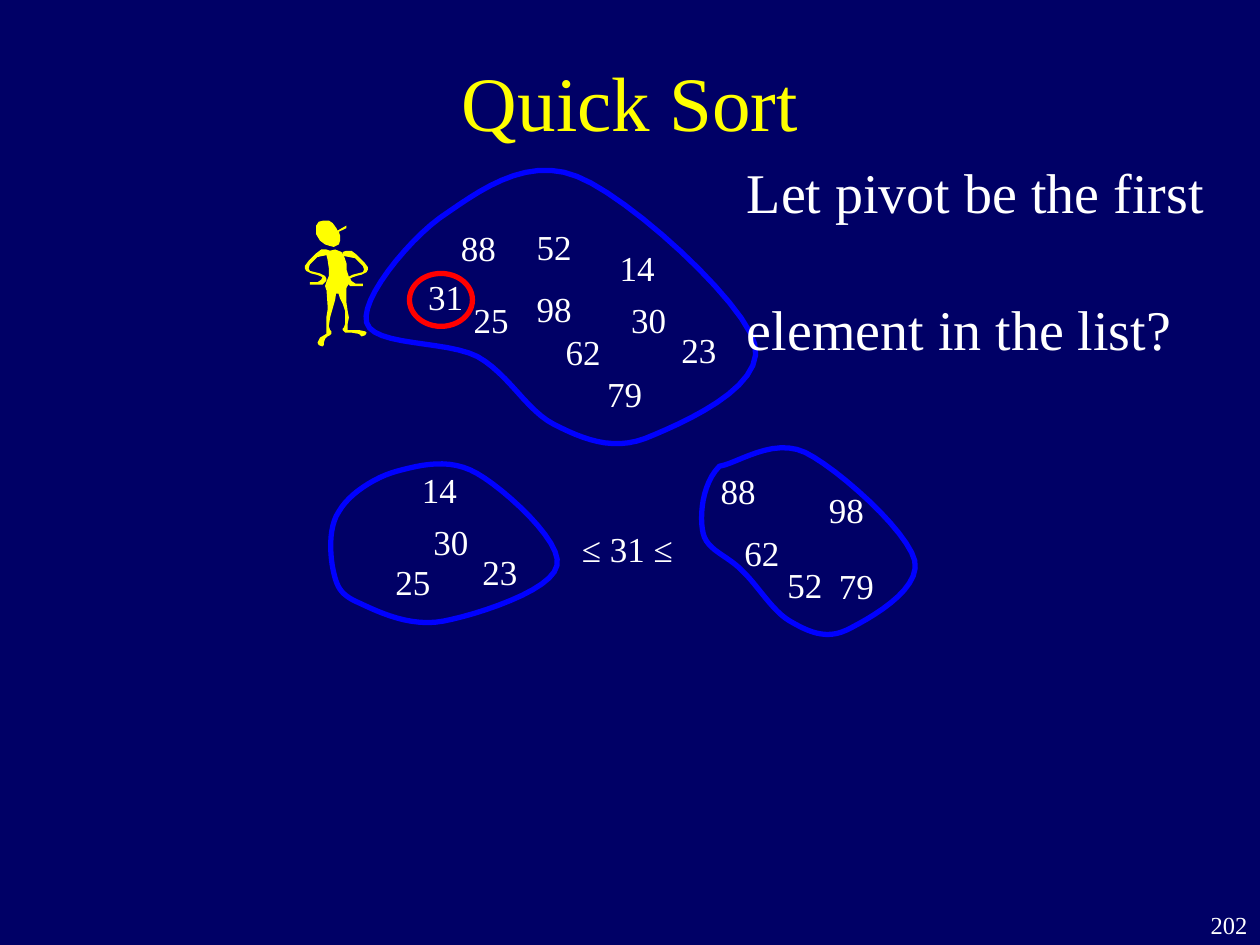
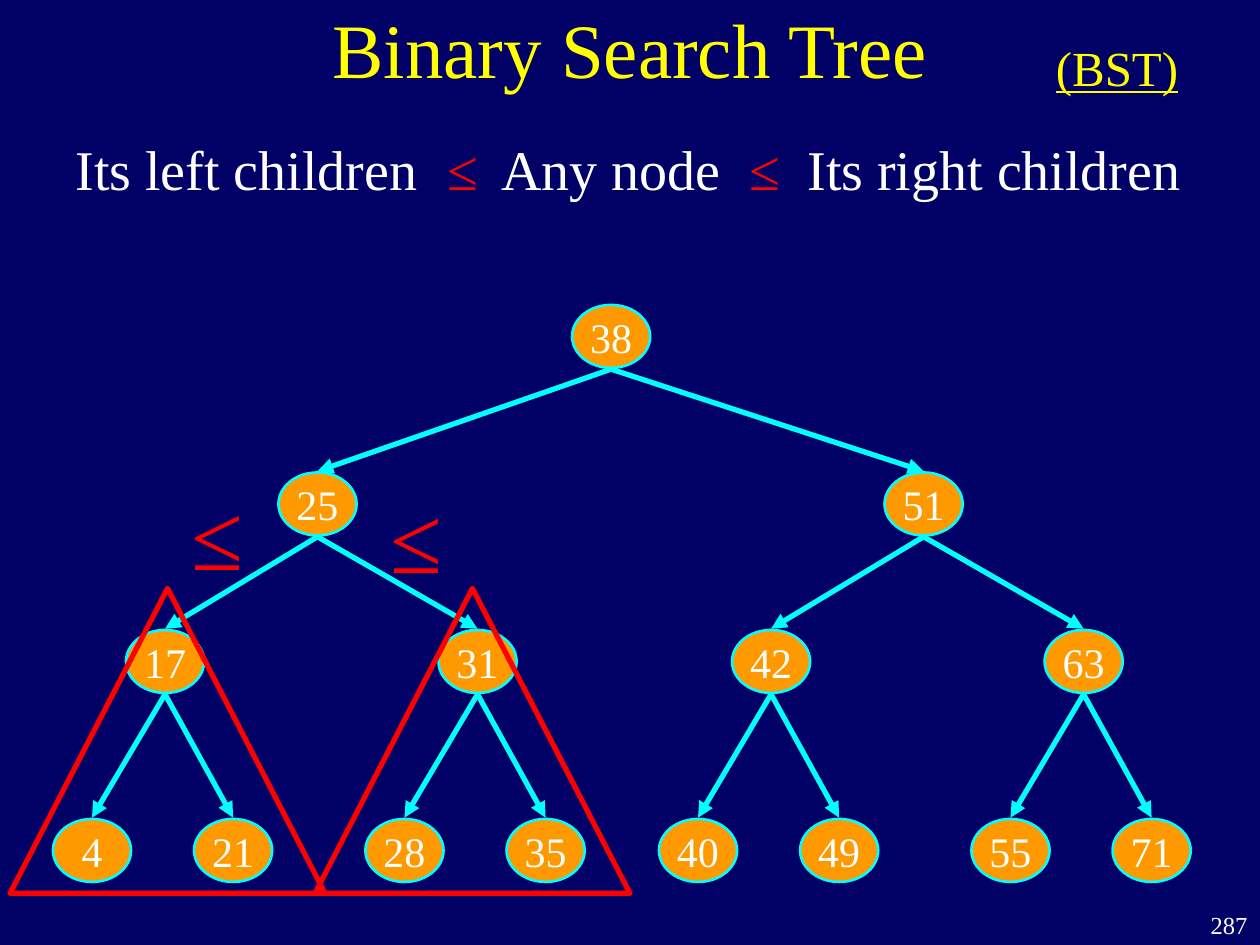
from lxml.etree import SubElement
from pptx import Presentation
from pptx.dml.color import RGBColor
from pptx.enum.shapes import MSO_CONNECTOR, MSO_SHAPE
from pptx.enum.text import MSO_ANCHOR, MSO_AUTO_SIZE, PP_ALIGN
from pptx.oxml.ns import qn
from pptx.util import Inches, Pt

COLORS = {
    "background": "000066", "text": "FFFFFF", "title": "FFFF00",
    "outline": "0000FF", "accent": "FF0000", "node": "FF9900", "edge": "00FFFF",
}
FONT = "Times New Roman"
COLUMNS, ROWS = 10, 7.5


def color(name):
    return RGBColor.from_string(COLORS[name])


def curve(points, steps=12):
    """Sample a chain of cubic curves: a start, then three points for each curve."""
    sampled = [points[0]]
    for first in range(0, len(points) - 1, 3):
        a, b, c, d = points[first:first + 4]
        for step in range(1, steps + 1):
            t = step / steps
            u = 1 - t
            sampled.append(tuple(
                u**3 * a[axis] + 3 * u**2 * t * b[axis] + 3 * u * t**2 * c[axis] + t**3 * d[axis]
                for axis in (0, 1)))
    return sampled


class Board:
    """Holds the deck's style and the current slide; lengths are grid columns and rows."""

    def __init__(self):
        self.deck = Presentation()
        self.deck.slide_width, self.deck.slide_height = Inches(10), Inches(7.5)
        self.page = None

    def x(self, columns):
        return round(self.deck.slide_width * columns / COLUMNS)

    def y(self, rows):
        return round(self.deck.slide_height * rows / ROWS)

    def area(self, left, top, width, height):
        return self.x(left), self.y(top), self.x(width), self.y(height)

    def new_page(self, title, title_top, number):
        self.page = self.deck.slides.add_slide(self.deck.slide_layouts[6])
        fill = self.page.background.fill
        fill.solid()
        fill.fore_color.rgb = color("background")
        self.text(number, (9.5, 7.17, 0.5, 0.33), 14, align=PP_ALIGN.RIGHT, wrap=True)
        self.text(title, (0.75, title_top, 8.5, 1.25), 44, "title", PP_ALIGN.CENTER,
                  wrap=True, anchor=MSO_ANCHOR.MIDDLE)

    def style(self, para, size, name="text", align=PP_ALIGN.LEFT):
        para.alignment = align
        para.font.name, para.font.size = FONT, Pt(size)
        para.font.color.rgb = color(name)

    def text(self, words, area, size, name="text", align=PP_ALIGN.LEFT,
             wrap=False, anchor=MSO_ANCHOR.TOP, gap=0):
        box = self.page.shapes.add_textbox(*self.area(*area))
        frame = box.text_frame
        frame.word_wrap, frame.vertical_anchor = wrap, anchor
        frame.auto_size = MSO_AUTO_SIZE.NONE if wrap else MSO_AUTO_SIZE.SHAPE_TO_FIT_TEXT
        frame.text = words
        for index, para in enumerate(frame.paragraphs):
            self.style(para, size, name, align)
            if index:
                para.space_before = Pt(gap)
        return box

    def tabbed_line(self, parts, area, size, stops):
        """One line of (words, colour) parts, each starting at its tab stop."""
        para = self.text("", area, size, wrap=True).text_frame.paragraphs[0]
        properties = para._p.get_or_add_pPr()
        tabs = SubElement(properties, qn("a:tabLst"))
        for stop in stops:
            SubElement(tabs, qn("a:tab"), pos=str(self.x(stop)), algn="l")
        properties.insert(0, tabs)
        for index, (words, name) in enumerate(parts):
            span = para.add_run()
            span.text = "\t" + words if index else words
            span.font.color.rgb = color(name)

    def paint(self, shape, fill=None, line=None, width=3):
        shape.shadow.inherit = False
        if fill:
            shape.fill.solid()
            shape.fill.fore_color.rgb = color(fill)
        else:
            shape.fill.background()
        if line:
            shape.line.color.rgb = color(line)
            shape.line.width = Pt(width)
        else:
            shape.line.fill.background()

    def preset(self, kind, area, **paint):
        shape = self.page.shapes.add_shape(kind, *self.area(*area))
        self.paint(shape, **paint)
        return shape

    def outline(self, points, **paint):
        start, *others = [(self.x(column), self.y(row)) for column, row in points]
        builder = self.page.shapes.build_freeform(*start, scale=1.0)
        builder.add_line_segments(others, close=True)
        self.paint(builder.convert_to_shape(), **paint)

    def node(self, value, center, top):
        shape = self.preset(MSO_SHAPE.OVAL, (center - 0.31, top, 0.62, 0.5),
                            fill="node", line="edge", width=1.5)
        frame = shape.text_frame
        frame.word_wrap, frame.vertical_anchor = False, MSO_ANCHOR.MIDDLE
        frame.text = str(value)
        self.style(frame.paragraphs[0], 24, align=PP_ALIGN.CENTER)

    def arrow(self, start, end):
        line = self.page.shapes.add_connector(
            MSO_CONNECTOR.STRAIGHT, self.x(start[0]), self.y(start[1]),
            self.x(end[0]), self.y(end[1]))
        line.line.color.rgb = color("edge")
        line.line.width = Pt(3)
        SubElement(line.line._get_or_add_ln(), qn("a:tailEnd"), type="triangle")
        SubElement(line._element.spPr, qn("a:effectLst"))


# Closed curves around the whole list, the smaller part and the larger part
SETS = [
    [(3.49, 1.73), (3.22, 1.93), (2.86, 2.38), (2.91, 2.56), (2.96, 2.75), (3.54, 2.7),
     (3.79, 2.83), (4.04, 2.97), (4.18, 3.26), (4.4, 3.37), (4.62, 3.48), (4.85, 3.58),
     (5.12, 3.48), (5.39, 3.37), (6.08, 3.08), (5.99, 2.73), (5.9, 2.39), (4.99, 1.56),
     (4.58, 1.4), (4.16, 1.23), (3.77, 1.54), (3.49, 1.73)],
    [(3.15, 3.74), (2.97, 3.79), (2.77, 3.92), (2.69, 4.06), (2.6, 4.19), (2.62, 4.43),
     (2.65, 4.55), (2.68, 4.68), (2.72, 4.73), (2.86, 4.79), (3.01, 4.86), (3.26, 4.98),
     (3.52, 4.93), (3.78, 4.88), (4.38, 4.69), (4.42, 4.49), (4.47, 4.3), (4, 3.88),
     (3.79, 3.76), (3.57, 3.63), (3.34, 3.69), (3.15, 3.74)],
    [(5.71, 3.7), (5.57, 3.84), (5.55, 4.1), (5.58, 4.23), (5.61, 4.37), (5.78, 4.41),
     (5.89, 4.53), (6.01, 4.64), (6.13, 4.85), (6.27, 4.93), (6.41, 5.01), (6.55, 5.08),
     (6.72, 5), (6.88, 4.92), (7.31, 4.69), (7.26, 4.45), (7.2, 4.21), (6.65, 3.72),
     (6.39, 3.59), (6.13, 3.47), (5.85, 3.68), (5.71, 3.7)],
]
# Value, left and top of each list element
ELEMENTS = [
    (88, 3.56, 1.75), (14, 4.82, 1.91), (98, 4.16, 2.23), (25, 3.66, 2.32), (62, 4.39, 2.57),
    (52, 4.16, 1.74), (79, 4.72, 2.91), (30, 4.91, 2.32), (23, 5.31, 2.56), (31, 3.3, 2.14),
    (14, 3.25, 3.67), (25, 3.04, 4.4), (30, 3.34, 4.08), (23, 3.73, 4.32),
    (88, 5.62, 3.68), (98, 6.48, 3.83), (62, 5.81, 4.17), (79, 6.56, 4.43), (52, 6.15, 4.42),
]
# Parts of the standing figure
HEAD = [
    (2.67, 1.81), (2.64, 1.77), (2.61, 1.75), (2.57, 1.75), (2.53, 1.76), (2.51, 1.79),
    (2.51, 1.86), (2.54, 1.91), (2.58, 1.94), (2.61, 1.95), (2.65, 1.96), (2.67, 1.95),
    (2.69, 1.94), (2.7, 1.91), (2.7, 1.87), (2.69, 1.84), (2.75, 1.81), (2.75, 1.79),
    (2.68, 1.83)]
ARM = [
    (2.62, 1.99), (2.59, 1.98), (2.55, 1.98), (2.51, 2.01), (2.45, 2.07), (2.42, 2.11),
    (2.42, 2.13), (2.43, 2.15), (2.47, 2.17), (2.51, 2.18), (2.54, 2.19), (2.56, 2.2),
    (2.55, 2.22), (2.52, 2.24), (2.46, 2.24), (2.46, 2.26), (2.56, 2.26), (2.58, 2.24),
    (2.59, 2.23), (2.59, 2.21), (2.58, 2.19), (2.54, 2.17), (2.5, 2.16), (2.46, 2.15),
    (2.45, 2.13), (2.46, 2.1), (2.49, 2.07), (2.52, 2.04), (2.57, 2.03), (2.62, 2.02)]
OTHER_ARM = [(5.34 - column, row + 0.01) for column, row in ARM]
BODY = [
    (2.75, 2.09), (2.73, 2.03), (2.71, 2), (2.66, 1.98), (2.62, 1.99), (2.59, 2.02),
    (2.6, 2.06), (2.61, 2.13), (2.61, 2.19), (2.59, 2.24), (2.58, 2.27), (2.59, 2.3),
    (2.61, 2.31), (2.64, 2.32), (2.67, 2.33), (2.7, 2.33), (2.74, 2.3), (2.77, 2.25),
    (2.77, 2.2), (2.75, 2.14)]
LEFT_LEG = [
    (2.66, 2.26), (2.62, 2.25), (2.6, 2.26), (2.59, 2.28), (2.6, 2.43), (2.6, 2.46),
    (2.59, 2.52), (2.59, 2.65), (2.54, 2.68), (2.52, 2.72), (2.53, 2.74), (2.56, 2.75),
    (2.57, 2.74), (2.57, 2.72), (2.58, 2.69), (2.6, 2.67), (2.62, 2.66), (2.63, 2.65),
    (2.63, 2.63), (2.62, 2.62), (2.61, 2.59), (2.62, 2.52), (2.64, 2.45), (2.66, 2.38),
    (2.67, 2.31)]
RIGHT_LEG = [
    (2.75, 2.31), (2.75, 2.27), (2.72, 2.25), (2.68, 2.25), (2.68, 2.31), (2.7, 2.37),
    (2.72, 2.41), (2.74, 2.47), (2.74, 2.57), (2.73, 2.6), (2.72, 2.61), (2.72, 2.62),
    (2.74, 2.64), (2.79, 2.64), (2.85, 2.65), (2.87, 2.67), (2.9, 2.66), (2.91, 2.64),
    (2.9, 2.63), (2.85, 2.62), (2.76, 2.62), (2.76, 2.57), (2.77, 2.52), (2.76, 2.47),
    (2.75, 2.4)]

# Tree values level by level, tops of the levels, and steps to left and right children
TREE = [38, 25, 51, 17, 31, 42, 63, 4, 21, 28, 35, 40, 49, 55, 71]
LEVEL_TOPS = [2.42, 3.75, 5, 6.5]
CHILD_STEPS = [(-2.33, 2.48), (-1.21, 1.27), (-0.58, 0.54)]


def quick_sort(board):
    board.new_page("Quick Sort", 0.17, "202")
    for points in SETS:
        board.outline(curve(points), line="outline")
    for value, left, top in ELEMENTS:
        board.text(str(value), (left, top, 0.48, 0.43), 20)
    for part in (HEAD, ARM, OTHER_ARM, BODY, LEFT_LEG, RIGHT_LEG):
        board.outline(part, fill="title")
    board.text("Let pivot be the first\nelement in the list?", (5.83, 1.2, 3.83, 1.67), 32, gap=40)
    board.text("≤ 31 ≤", (4.52, 4.14, 0.92, 0.43), 20)
    # Ring around the pivot
    board.preset(MSO_SHAPE.OVAL, (3.25, 2.17, 0.5, 0.42), line="accent")


def search_tree(board):
    board.new_page("Binary Search Tree", -0.25, "287")
    abbreviation = board.text("(BST)", (8.27, 0.25, 1.19, 0.57), 28, "title", PP_ALIGN.CENTER)
    abbreviation.text_frame.paragraphs[0].font.underline = True
    board.tabbed_line(
        [("Its left children", "text"), ("≤", "accent"), ("Any node", "text"),
         ("≤", "accent"), ("Its right children", "text")],
        (0.5, 1.02, 9.4, 1.07), 32, (2.95, 3.38, 5.35, 5.81))

    # Nodes, each joined to its parent
    centers = [4.85]
    for index, value in enumerate(TREE):
        level = (index + 1).bit_length() - 1
        top = LEVEL_TOPS[level]
        if index:
            parent = (index - 1) // 2
            centers.append(centers[parent] + CHILD_STEPS[level - 1][(index - 1) % 2])
            board.arrow((centers[parent], LEVEL_TOPS[level - 1] + 0.51),
                        (centers[index], top - 0.01))
        board.node(value, centers[index], top)

    # Subtrees of 25 and their comparison signs
    for left, sign_left, sign_top in ((0.08, 1.42, 3.73), (2.5, 3, 3.75)):
        board.preset(MSO_SHAPE.ISOSCELES_TRIANGLE, (left, 4.67, 2.5, 2.42), line="accent")
        board.text("≤", (sign_left, sign_top, 0.61, 1), 54, "accent")


def main():
    board = Board()
    quick_sort(board)
    search_tree(board)
    board.deck.save("out.pptx")


if __name__ == "__main__":
    main()
